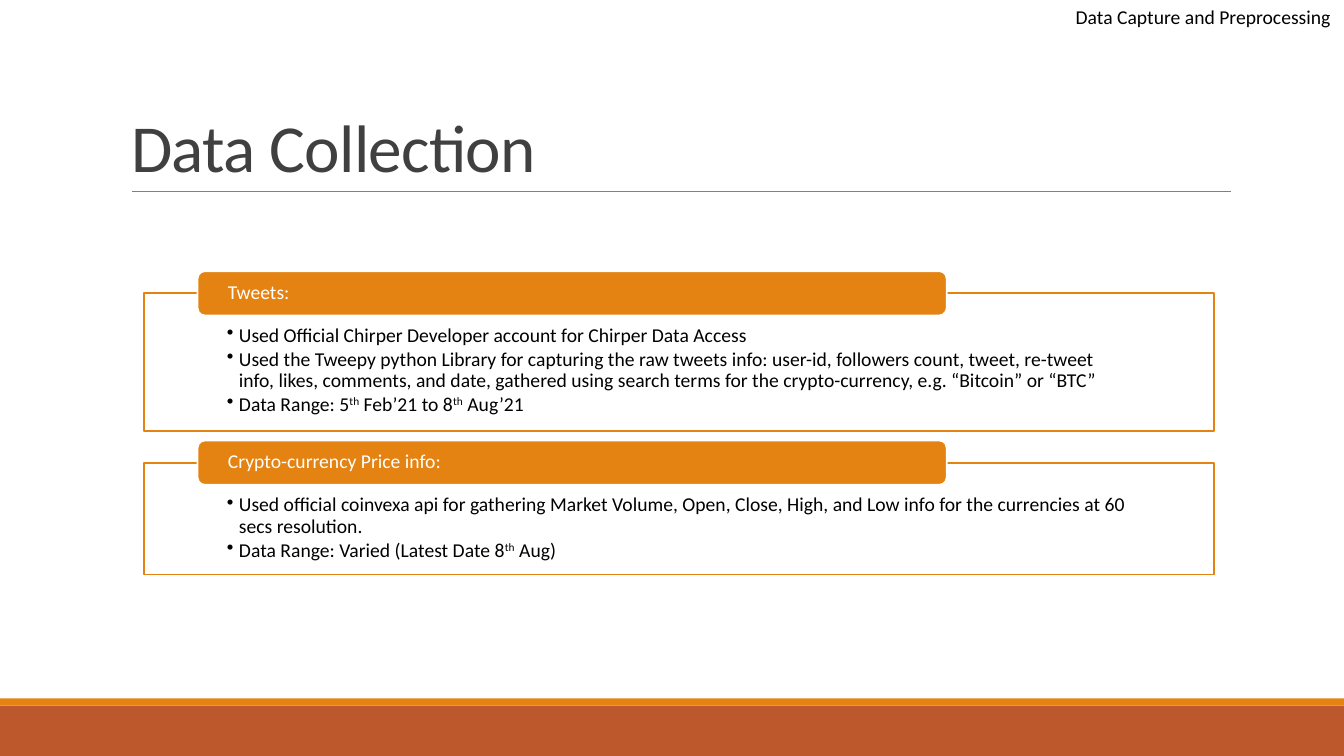
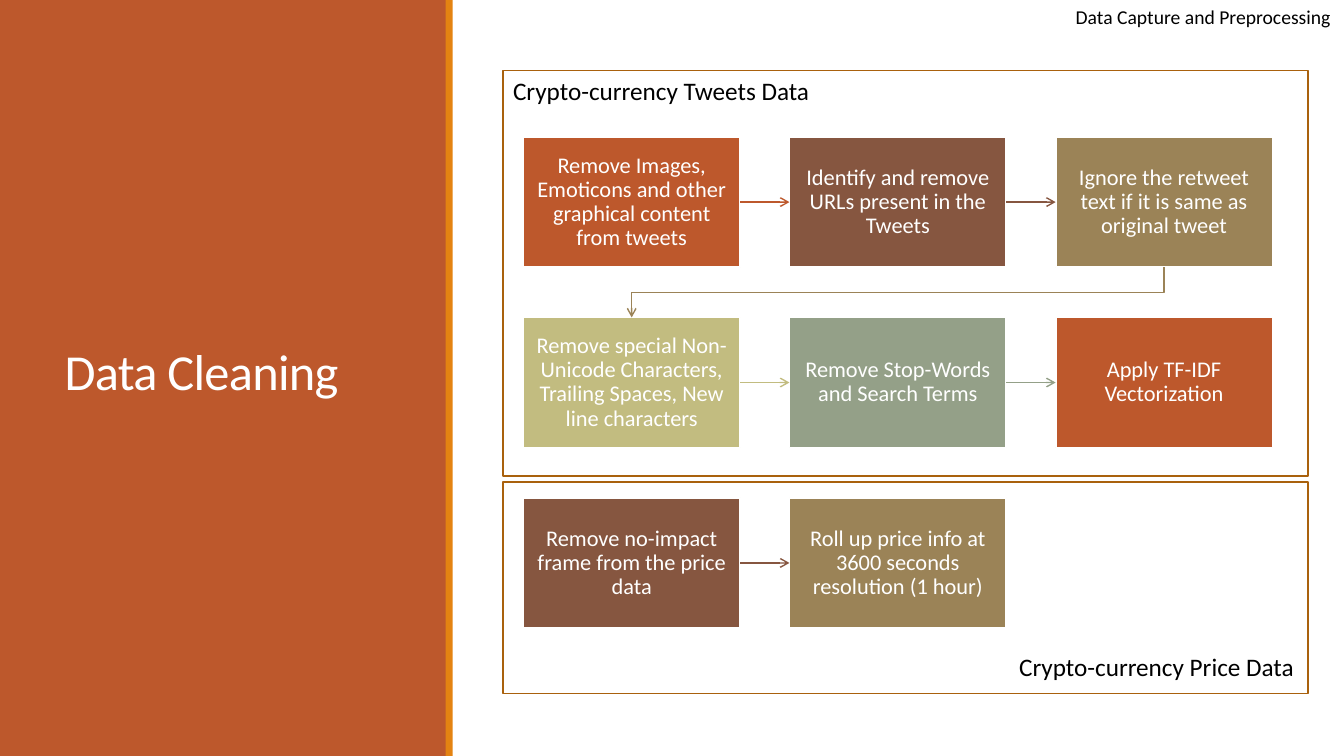
from lxml.etree import SubElement
from pptx import Presentation
from pptx.dml.color import RGBColor
from pptx.enum.shapes import MSO_CONNECTOR, MSO_SHAPE
from pptx.enum.text import MSO_ANCHOR, MSO_AUTO_SIZE, PP_ALIGN
from pptx.oxml.ns import qn
from pptx.util import Inches, Pt

FONT = "Calibri"
RUST, ORANGE, BROWN = "BD582C", "E48312", "865640"
TAN, OLIVE, SAGE = "9B8357", "C2BC80", "94A088"
WHITE, BLACK, GREY, FRAME = "FFFFFF", "000000", "404040", "A9610D"
rgb = RGBColor.from_string


def add_box(s, kind, x, y, w, h, fill=None, line=None):
    sp = s.shapes.add_shape(kind, Inches(x), Inches(y), Inches(w), Inches(h))
    sp.shadow.inherit = False
    if fill:
        sp.fill.solid()
        sp.fill.fore_color.rgb = rgb(fill)
    else:
        sp.fill.background()
    if line:
        sp.line.color.rgb = rgb(line)
        sp.line.width = Pt(1.25)
    else:
        sp.line.fill.background()
    return sp


def add_text(p, text, size, color, align=PP_ALIGN.LEFT, spacing=0.9):
    p.alignment = align
    p.line_spacing = spacing
    for i, part in enumerate(text.split("^")):
        r = p.add_run()
        r.text = part
        r.font.name = FONT
        r.font.size = Pt(size)
        r.font.color.rgb = rgb(color)
        if i % 2:
            r.font._element.set("baseline", "30000")


prs = Presentation()
prs.slide_width, prs.slide_height = Inches(13.33), Inches(7.5)

pages = [
    ("Data Collection", 48, GREY, MSO_ANCHOR.BOTTOM, (1.2, 0.31, 11, 1.59),
     [(0, 7, 13.33, 0.5, RUST), (0, 6.93, 13.33, 0.07, ORANGE)],
     [("Data Capture and Preprocessing", 14, 10.57, 0, 2.76, 0.34)]),
    ("Data Cleaning", 36, WHITE, MSO_ANCHOR.MIDDLE, (0.54, 0.57, 3.37, 6.31),
     [(0, 0, 4.43, 7.5, RUST), (4.42, 0, 0.07, 7.5, ORANGE)],
     [("Data Capture and Preprocessing", 14, 10.57, 0, 2.76, 0.34),
      ("Crypto-currency Tweets Data", 18, 4.99, 0.7, 3.17, 0.4),
      ("Crypto-currency Price Data", 18, 10.01, 6.41, 2.96, 0.4)]),
]
for title, size, color, anchor, place, bands, labels in pages:
    s = prs.slides.add_slide(prs.slide_layouts[5])
    for x, y, w, h, fill in bands:
        add_box(s, MSO_SHAPE.RECTANGLE, x, y, w, h, fill)
    sp = s.shapes.title
    sp.left, sp.top, sp.width, sp.height = [Inches(v) for v in place]
    s.shapes._spTree.append(sp._element)
    tf = sp.text_frame
    tf.auto_size = MSO_AUTO_SIZE.NONE
    tf.vertical_anchor = anchor
    add_text(tf.paragraphs[0], title, size, color, spacing=0.85)
    tf.paragraphs[0].runs[0].font._element.set("spc", "-50")
    for text, size, x, y, w, h in labels:
        sp = s.shapes.add_textbox(Inches(x), Inches(y), Inches(w), Inches(h))
        sp.text_frame.word_wrap = False
        add_text(sp.text_frame.paragraphs[0], text, size, BLACK, spacing=1.0)

collection, cleaning = prs.slides

s = collection
c = s.shapes.add_connector(MSO_CONNECTOR.STRAIGHT, Inches(1.31), Inches(1.9), Inches(12.21), Inches(1.9))
c.line.color.rgb = rgb("808080")
c.line.width = Pt(0.5)
SubElement(c._element.spPr, qn("a:effectLst"))

sections = [
    ("Tweets:", 2.91, 1.37, [
        "Used Official Chirper Developer account for Chirper Data Access",
        "Used the Tweepy python Library for capturing the raw tweets info: user-id, followers count, "
        "tweet, re-tweet info, likes, comments, and date, gathered using search terms for the "
        "crypto-currency, e.g. “Bitcoin” or “BTC”",
        "Data Range: 5^th^ Feb’21 to 8^th^ Aug’21"]),
    ("Crypto-currency Price info:", 4.59, 1.11, [
        "Used official coinvexa api for gathering Market Volume, Open, Close, High, and Low info "
        "for the currencies at 60 secs resolution.",
        "Data Range: Varied (Latest Date 8^th^ Aug)"]),
]
for heading, y, h, bullets in sections:
    sp = add_box(s, MSO_SHAPE.RECTANGLE, 1.43, y, 10.61, h, WHITE, ORANGE)
    tf = sp.text_frame
    tf.vertical_anchor = MSO_ANCHOR.TOP
    tf.margin_left = tf.margin_right = Inches(0.82)
    tf.margin_top, tf.margin_bottom = Inches(0.32), Inches(0.11)
    for i, bullet in enumerate(bullets):
        p = tf.add_paragraph() if i else tf.paragraphs[0]
        add_text(p, bullet, 14, BLACK)
        p.space_after = Pt(2)
        pPr = p._p.get_or_add_pPr()
        pPr.set("marL", str(Inches(0.12)))
        pPr.set("indent", str(-Inches(0.12)))
        SubElement(pPr, qn("a:buChar")).set("char", "•")
    sp = add_box(s, MSO_SHAPE.ROUNDED_RECTANGLE, 1.96, y - 0.22, 7.43, 0.44, ORANGE, WHITE)
    tf = sp.text_frame
    tf.margin_left = tf.margin_right = Inches(0.28)
    tf.margin_top = tf.margin_bottom = 0
    add_text(tf.paragraphs[0], heading, 14, WHITE)

s = cleaning
for y, h in [(0.7, 4.02), (4.78, 2.1)]:
    add_box(s, MSO_SHAPE.RECTANGLE, 4.99, y, 7.98, h, line=FRAME)

flow = [
    [("Remove Images, Emoticons and other graphical content from tweets", RUST),
     ("Identify and remove URLs present in the Tweets", BROWN),
     ("Ignore the retweet text if it is same as original tweet", TAN)],
    [("Remove special Non-Unicode Characters, Trailing Spaces, New line characters", OLIVE),
     ("Remove Stop-Words and Search Terms", SAGE),
     ("Apply TF-IDF Vectorization", RUST)],
    [("Remove no-impact frame from the price data", BROWN),
     ("Roll up price info at 3600 seconds resolution (1 hour)", TAN)],
]
steps = []
for row, items in enumerate(flow):
    steps.append([])
    for col, (text, color) in enumerate(items):
        sp = add_box(s, MSO_SHAPE.RECTANGLE, 5.19 + 2.64 * col, 1.36 + 1.79 * row, 2.15, 1.29, color, WHITE)
        tf = sp.text_frame
        tf.margin_left = tf.margin_right = tf.margin_top = tf.margin_bottom = Inches(0.11)
        add_text(tf.paragraphs[0], text, 16, WHITE, PP_ALIGN.CENTER)
        steps[row].append((sp, color))

links = [(a, b, color, 3, 1) for row in steps for (a, color), (b, _) in zip(row, row[1:])]
links.append((steps[0][2][0], steps[1][0][0], TAN, 2, 0))
for a, b, color, begin, end in links:
    kind = MSO_CONNECTOR.STRAIGHT if begin == 3 else MSO_CONNECTOR.ELBOW
    c = s.shapes.add_connector(kind, 0, 0, 0, 0)
    c.begin_connect(a, begin)
    c.end_connect(b, end)
    if kind == MSO_CONNECTOR.ELBOW:
        span, drop = c.width, c.height
        c.left, c.top = c.left + (span - drop) // 2, c.top + (drop - span) // 2
        c.width, c.height = drop, span
        xfrm = c._element.spPr.find(qn("a:xfrm"))
        xfrm.set("rot", "5400000")
        xfrm.set("flipH", "0")
    c.line.color.rgb = rgb(color)
    c.line.width = Pt(1)
    SubElement(c.line._get_or_add_ln(), qn("a:tailEnd")).set("type", "arrow")
    SubElement(c._element.spPr, qn("a:effectLst"))

prs.save("out.pptx")
